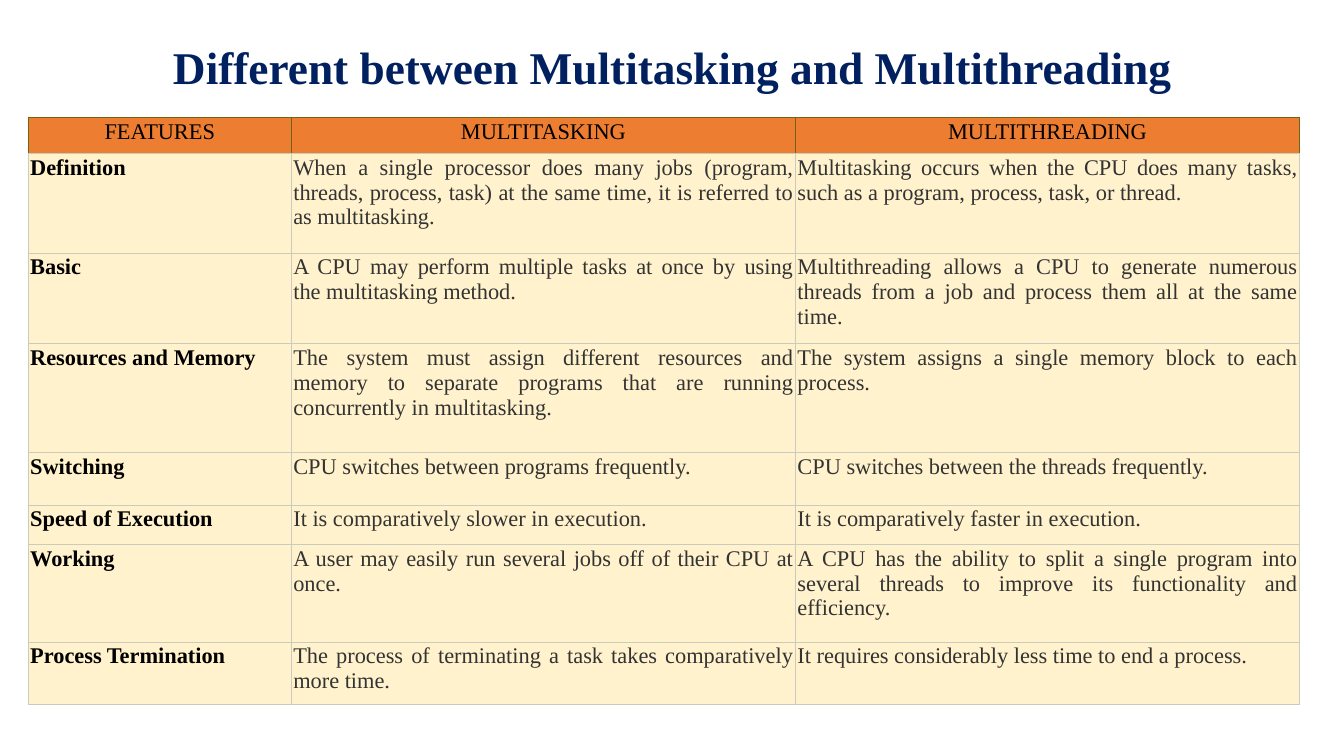
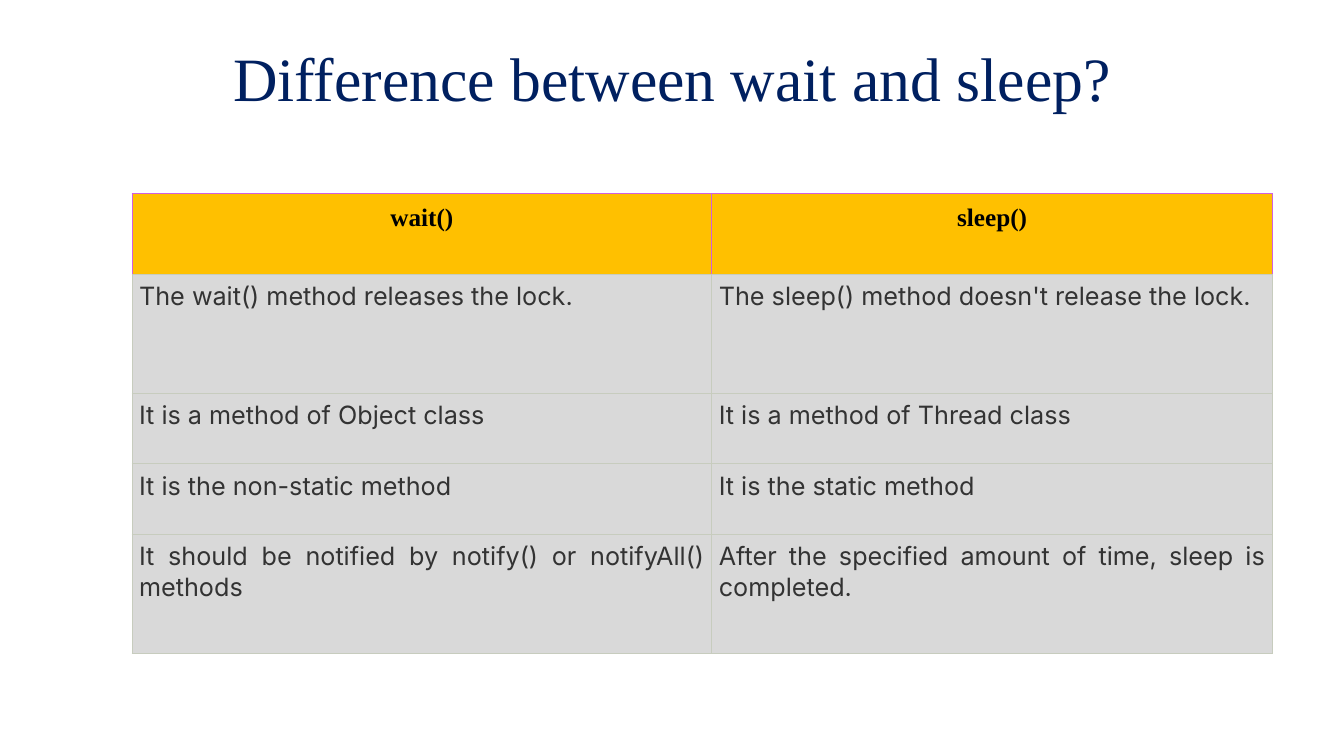
"""Build two comparison-table slides: multitasking and multithreading, wait and sleep."""
from lxml import etree
from pptx import Presentation
from pptx.dml.color import RGBColor
from pptx.enum.text import MSO_ANCHOR, PP_ALIGN
from pptx.oxml.ns import qn
from pptx.util import Inches, Pt

CENTER, JUSTIFY = PP_ALIGN.CENTER, PP_ALIGN.JUSTIFY
MIDDLE = MSO_ANCHOR.MIDDLE
SERIF, SANS = "Times New Roman", "Inter"
NAVY, BLACK, GRAY, GRID = "002060", "000000", "333333", "C7CCBE"

SLIDES = [
    dict(
        title="Different between Multitasking and Multithreading",
        title_top=0.24, title_size=32.4, title_bold=True,
        left=0.28, top=1.16, cols=[2.61, 5, 5],
        heights=[0.36, 0.99, 0.9, 1.08, 0.52, 0.39, 0.97, 0.62],
        size=16, body_font=SERIF, head_bold=False, label_column=True,
        head_fill="ED7D31", head_line="706415", head_margin=0.03,
        body_fill="FFF2CC", body_margin=0.02,
        rows=[
            ["FEATURES", "MULTITASKING", "MULTITHREADING"],
            ["Definition",
             "When a single processor does many jobs (program, threads, process, task) "
             "at the same time, it is referred to as multitasking.",
             "Multitasking occurs when the CPU does many tasks, such as a program, "
             "process, task, or thread."],
            ["Basic",
             "A CPU may perform multiple tasks at once by using the multitasking method.",
             "Multithreading allows a CPU to generate numerous threads from a job and "
             "process them all at the same time."],
            ["Resources and Memory",
             "The system must assign different resources and memory to separate programs "
             "that are running concurrently in multitasking.",
             "The system assigns a single memory block to each process."],
            ["Switching",
             "CPU switches between programs frequently.",
             "CPU switches between the threads frequently."],
            ["Speed of Execution",
             "It is comparatively slower in execution.",
             "It is comparatively faster in execution."],
            ["Working",
             "A user may easily run several jobs off of their CPU at once.",
             "A CPU has the ability to split a single program into several threads to "
             "improve its functionality and efficiency."],
            ["Process Termination",
             "The process of terminating a task takes comparatively more time.",
             "It requires considerably less time to end a process."],
        ],
    ),
    dict(
        title="Difference between wait and sleep?",
        title_top=0.36, title_size=44, title_bold=False,
        left=1.31, top=1.92, cols=[5.75, 5.56],
        heights=[0.8, 1.18, 0.7, 0.7, 1.18],
        size=18, body_font=SANS, head_bold=True, label_column=False,
        head_fill="FFC000", head_line="D060DD", head_margin=0.1,
        body_fill="D9D9D9", body_margin=0.07,
        rows=[
            ["wait()", "sleep()"],
            ["The wait() method releases the lock.",
             "The sleep() method doesn't release the lock."],
            ["It is a method of Object class", "It is a method of Thread class"],
            ["It is the non-static method", "It is the static method"],
            ["It should be notified by notify() or notifyAll() methods",
             "After the specified amount of time, sleep is completed."],
        ],
    ),
]


def write(tf, text, *, size, font=SERIF, color=BLACK, bold=False, align=CENTER, spacing=1.0):
    tf.word_wrap = True
    p = tf.paragraphs[0]
    p.alignment = align
    p.line_spacing = spacing
    r = p.add_run()
    r.text = text
    r.font.name = font
    r.font.size = Pt(size)
    r.font.bold = bold
    r.font.color.rgb = RGBColor.from_string(color)


def style_cell(cell, fill, margin, line):
    cell.margin_left = cell.margin_right = Inches(margin)
    cell.margin_top = cell.margin_bottom = Inches(margin)
    tc_pr = cell._tc.get_or_add_tcPr()
    for side, color in (("L", line), ("R", line), ("T", line), ("B", GRID)):
        ln = etree.SubElement(tc_pr, qn(f"a:ln{side}"), w=str(Pt(0.6)))
        solid = etree.SubElement(ln, qn("a:solidFill"))
        etree.SubElement(solid, qn("a:srgbClr"), val=color)
    cell.fill.solid()
    cell.fill.fore_color.rgb = RGBColor.from_string(fill)


prs = Presentation()
prs.slide_width, prs.slide_height = Inches(13.33), Inches(7.5)

for spec in SLIDES:
    s = prs.slides.add_slide(prs.slide_layouts[6])
    title = s.shapes.add_textbox(Inches(0.92), Inches(spec["title_top"]), Inches(11.5), Inches(0.9))
    title.text_frame.vertical_anchor = MIDDLE
    write(title.text_frame, spec["title"], size=spec["title_size"], color=NAVY,
          bold=spec["title_bold"], spacing=0.9)

    cols, heights = spec["cols"], spec["heights"]
    table = s.shapes.add_table(len(heights), len(cols), Inches(spec["left"]), Inches(spec["top"]),
                               Inches(sum(cols)), Inches(sum(heights))).table
    table.first_row = table.horz_banding = False
    for column, width in zip(table.columns, cols):
        column.width = Inches(width)

    for i, (row, height) in enumerate(zip(spec["rows"], heights)):
        table.rows[i].height = Inches(height)
        for j, text in enumerate(row):
            cell = table.cell(i, j)
            if i == 0:
                style_cell(cell, spec["head_fill"], spec["head_margin"], spec["head_line"])
                write(cell.text_frame, text, size=spec["size"], bold=spec["head_bold"])
            else:
                label = spec["label_column"] and j == 0
                style_cell(cell, spec["body_fill"], spec["body_margin"], GRID)
                write(cell.text_frame, text, size=spec["size"], font=spec["body_font"],
                      color=BLACK if label else GRAY, bold=label, align=JUSTIFY)

prs.save("out.pptx")
